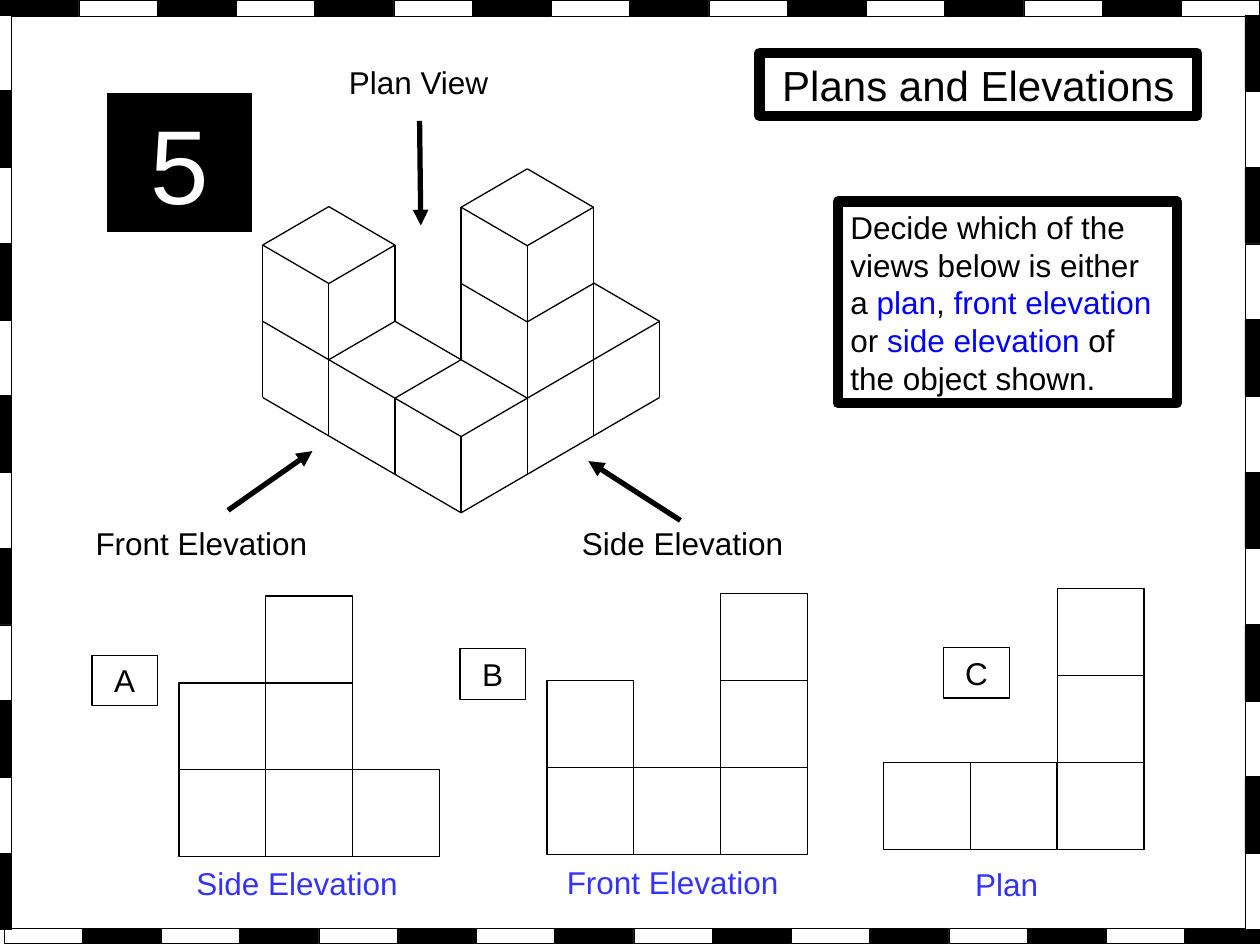
import pptx
import pptx.dml.color
import pptx.enum.shapes
import pptx.enum.text
import pptx.oxml
import pptx.util

Inches = pptx.util.Inches
Pt = pptx.util.Pt
RGBColor = pptx.dml.color.RGBColor
RECTANGLE = pptx.enum.shapes.MSO_SHAPE.RECTANGLE
STRAIGHT = pptx.enum.shapes.MSO_CONNECTOR.STRAIGHT
LEFT = pptx.enum.text.PP_ALIGN.LEFT
CENTER = pptx.enum.text.PP_ALIGN.CENTER

BLACK = RGBColor(0x00, 0x00, 0x00)
WHITE = RGBColor(0xFF, 0xFF, 0xFF)
BLUE = RGBColor(0x00, 0x00, 0xFF)
ANSWER_BLUE = RGBColor(0x33, 0x33, 0xFF)

FRAME_FORMAT = {
    "word_wrap": True,
    "vertical_anchor": pptx.enum.text.MSO_ANCHOR.TOP,
    "margin_left": Inches(0.1),
    "margin_right": Inches(0.1),
    "margin_top": Inches(0.05),
    "margin_bottom": Inches(0.05),
}

# Border strips: left, top, tile width, tile height, step x, step y, count, colours in turn
BORDER_STRIPS = [
    (0, 0, 0.62, 0.13, 0.625, 0, 16, (BLACK, WHITE)),
    (0.03, 7.37, 0.62, 0.12, 0.625, 0, 16, (WHITE, BLACK)),
    (9.88, 0.12, 0.12, 0.6, 0, 0.605, 12, (BLACK, WHITE)),
    (-0.03, 0.12, 0.12, 0.6, 0, 0.605, 12, (WHITE, BLACK)),
]

# The solid's visible edges, in cubes from the nearest bottom corner:
# (steps back left, steps back right, steps up)
SOLID_EDGES = [
    ((0, 0, 0), (0, 3, 0)), ((0, 0, 0), (3, 0, 0)), ((0, 0, 0), (0, 0, 1)),
    ((0, 0, 1), (0, 3, 1)), ((0, 0, 1), (3, 0, 1)), ((2, 0, 0), (2, 0, 2)),
    ((1, 0, 0), (1, 0, 1)), ((0, 1, 1), (2, 1, 1)), ((2, 0, 1), (2, 1, 1)),
    ((1, 0, 1), (1, 1, 1)), ((1, 1, 1), (1, 1, 3)), ((0, 1, 2), (0, 2, 2)),
    ((0, 1, 2), (1, 1, 2)), ((0, 1, 0), (0, 1, 3)), ((0, 2, 0), (0, 2, 3)),
    ((1, 1, 3), (0, 1, 3)), ((0, 1, 3), (0, 2, 3)), ((1, 2, 3), (0, 2, 3)),
    ((1, 1, 3), (1, 2, 3)), ((3, 0, 0), (3, 0, 2)), ((2, 1, 1), (2, 1, 2)),
    ((2, 0, 2), (2, 1, 2)), ((2, 0, 2), (3, 0, 2)), ((3, 0, 2), (3, 1, 2)),
    ((3, 1, 2), (2, 1, 2)), ((0, 3, 0), (0, 3, 1)), ((0, 3, 1), (1, 3, 1)),
]

# Direction labels: text, left, top, width, arrow start, arrow end
DIRECTIONS = [
    ("Front Elevation", 0.66, 4.11, 1.95, (1.81, 4.05), (2.48, 3.58)),
    ("Side Elevation", 4.52, 4.11, 1.95, (5.4, 4.13), (4.67, 3.66)),
    ("Plan View", 2.67, 0.45, 1.4, (3.33, 0.96), (3.34, 1.79)),
]

# Views: left and bottom of the grid, squares in each column,
# letter with its left and top, answer with its left, top and width
VIEWS = [
    (1.42, 6.8, (2, 3, 1), ("A", 0.73, 5.2), ("Side Elevation", 1.46, 6.81, 2.23)),
    (4.34, 6.78, (2, 1, 3), ("B", 3.65, 5.15), ("Front Elevation", 4.4, 6.8, 2.23)),
    (7.01, 6.74, (1, 1, 3), ("C", 7.49, 5.14), ("Plan", 7.64, 6.82, 1.15)),
]
SQUARE = 0.69

INSTRUCTION = [
    ("Decide which of the views below is either a ", BLACK),
    ("plan", BLUE),
    (", ", BLACK),
    ("front elevation", BLUE),
    (" or ", BLACK),
    ("side elevation", BLUE),
    (" of the object shown.", BLACK),
]


def write_text(shape, runs, size, alignment):
    """Fill the shape with one paragraph of (text, colour) runs."""
    for name, value in FRAME_FORMAT.items():
        setattr(shape.text_frame, name, value)
    paragraph = shape.text_frame.paragraphs[0]
    paragraph.alignment = alignment
    for text, color in runs:
        run = paragraph.add_run()
        run.text = text
        for name, value in {"name": "Arial", "size": Pt(size)}.items():
            setattr(run.font, name, value)
        run.font.color.rgb = color


def add_label(slide, text, left, top, width, color=BLACK):
    label = slide.shapes.add_textbox(*map(Inches, (left, top, width, 0.4)))
    write_text(label, [(text, color)], 18, LEFT)


def add_rectangle(slide, left, top, width, height, fill=None, line_width=0.75):
    rectangle = slide.shapes.add_shape(RECTANGLE, *map(Inches, (left, top, width, height)))
    rectangle.shadow.inherit = False
    if fill is None:
        rectangle.fill.background()
    else:
        rectangle.fill.solid()
        rectangle.fill.fore_color.rgb = fill
    if line_width:
        rectangle.line.color.rgb = BLACK
        rectangle.line.width = Pt(line_width)
    else:
        rectangle.line.fill.background()
    return rectangle


def add_line(slide, start, end, width=0.75, arrow=False):
    line = slide.shapes.add_connector(STRAIGHT, *map(Inches, (*start, *end)))
    line.line.color.rgb = BLACK
    line.line.width = Pt(width)
    if arrow:
        head = pptx.oxml.parse_xml(
            '<a:tailEnd xmlns:a="http://schemas.openxmlformats.org/drawingml/2006/main" type="triangle"/>'
        )
        line.line._get_or_add_ln().append(head)
    effects = pptx.oxml.parse_xml(
        '<a:effectLst xmlns:a="http://schemas.openxmlformats.org/drawingml/2006/main"/>'
    )
    line._element.spPr.append(effects)


def add_border(slide):
    for left, top, width, height, step_x, step_y, count, colors in BORDER_STRIPS:
        for index in range(count):
            add_rectangle(slide, left + index * step_x, top + index * step_y,
                          width, height, colors[index % 2], 0.25)


def project(corner):
    """Isometric position on the slide of a corner of the solid."""
    back_left, back_right, up = corner
    return (3.66 + 0.525 * (back_right - back_left),
            4.07 - 0.305 * (back_left + back_right) - 0.605 * up)


def add_solid(slide):
    for start, end in SOLID_EDGES:
        add_line(slide, project(start), project(end))


def add_view(slide, left, bottom, heights, letter, answer):
    for column, height in enumerate(heights):
        for row in range(1, height + 1):
            add_rectangle(slide, left + column * SQUARE, bottom - row * SQUARE, SQUARE, SQUARE)
    text, letter_left, letter_top = letter
    box = add_rectangle(slide, letter_left, letter_top, 0.52, 0.4)
    write_text(box, [(text, BLACK)], 18, CENTER)
    add_label(slide, *answer, color=ANSWER_BLUE)


def main():
    presentation = pptx.Presentation()
    presentation.slide_width = Inches(10)
    presentation.slide_height = Inches(7.5)
    slide = presentation.slides.add_slide(presentation.slide_layouts[6])

    add_border(slide)
    title = add_rectangle(slide, 6.03, 0.42, 3.47, 0.5, line_width=6)
    write_text(title, [("Plans and Elevations", BLACK)], 24, CENTER)
    for text, left, top, width, start, end in DIRECTIONS:
        add_line(slide, start, end, width=3, arrow=True)
        add_label(slide, text, left, top, width)
    add_solid(slide)
    for view in VIEWS:
        add_view(slide, *view)
    instruction = add_rectangle(slide, 6.65, 1.6, 2.69, 1.6, line_width=6)
    write_text(instruction, INSTRUCTION, 18, LEFT)
    number = add_rectangle(slide, 0.85, 0.74, 1.15, 1.1, BLACK, line_width=0)
    write_text(number, [("5", WHITE)], 60, CENTER)

    presentation.save("out.pptx")


if __name__ == "__main__":
    main()
